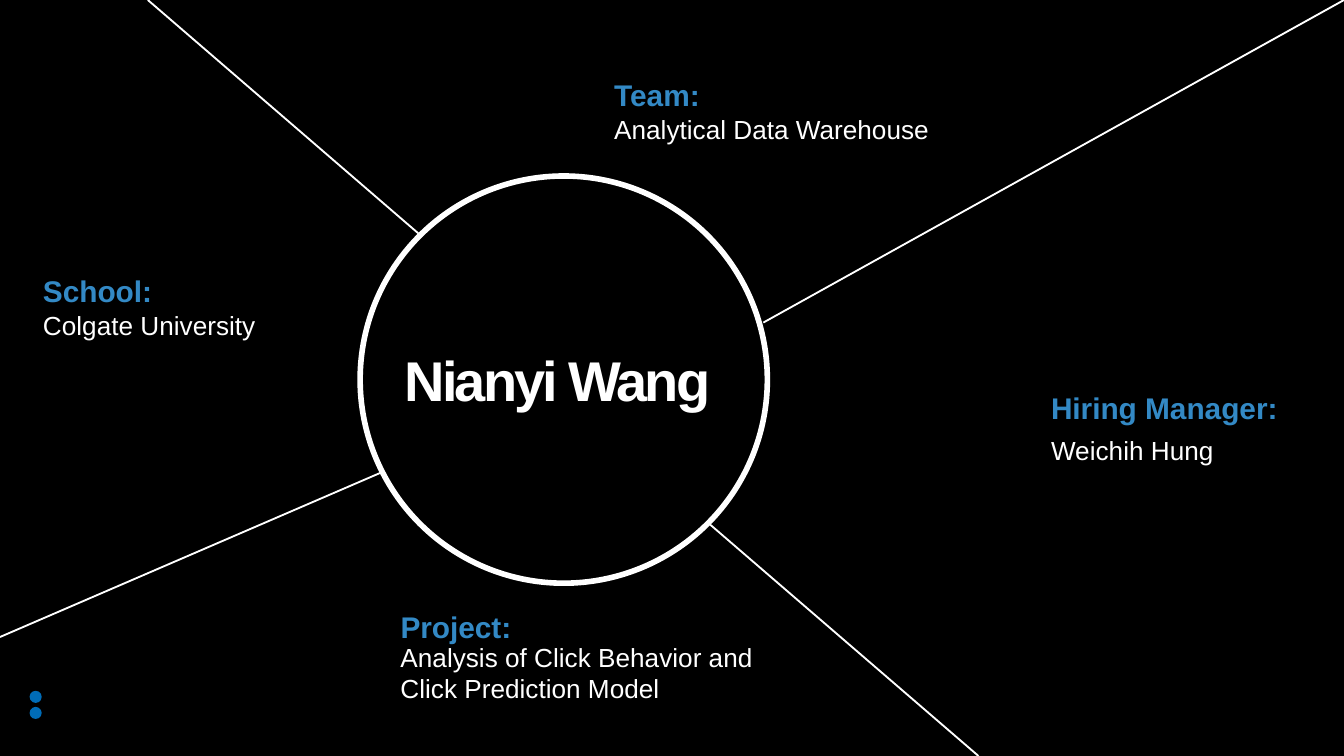
from dataclasses import dataclass

from lxml import etree
from pptx import Presentation
from pptx.dml.color import RGBColor
from pptx.enum.shapes import MSO_CONNECTOR, MSO_SHAPE
from pptx.enum.text import MSO_ANCHOR, PP_ALIGN
from pptx.oxml.ns import qn
from pptx.util import Inches, Pt

OVAL = MSO_SHAPE.OVAL
STRAIGHT = MSO_CONNECTOR.STRAIGHT
TOP, MIDDLE = MSO_ANCHOR.TOP, MSO_ANCHOR.MIDDLE
LEFT = PP_ALIGN.LEFT

PAGE_WIDTH = 10
PAGE_HEIGHT = PAGE_WIDTH * 9 / 16


@dataclass(frozen=True)
class Theme:
    font: str = "Arial"
    black: RGBColor = RGBColor(0, 0, 0)
    white: RGBColor = RGBColor(255, 255, 255)
    heading: RGBColor = RGBColor(0x33, 0x89, 0xC5)
    dot: RGBColor = RGBColor(0, 0x6C, 0xB7)
    name_size: int = 30
    heading_size: int = 16
    body_size: int = 14


def apply(target, values):
    for name, value in values.items():
        setattr(target, name, value)


class SlideBuilder:
    def __init__(self, page, theme):
        self.page = page
        self.theme = theme
        page.background.fill.solid()
        page.background.fill.fore_color.rgb = theme.black

    def circle(self, left, top, size, fill, line_width=0):
        shape = self.page.shapes.add_shape(
            OVAL, Inches(left), Inches(top), Inches(size), Inches(size))
        shape.shadow.inherit = False
        shape.fill.solid()
        shape.fill.fore_color.rgb = fill
        if line_width:
            shape.line.color.rgb = self.theme.white
            shape.line.width = Pt(line_width)
        else:
            shape.line.fill.background()

    def ray(self, start, end):
        line = self.page.shapes.add_connector(
            STRAIGHT, *(Inches(value) for value in (*start, *end)))
        line.line.color.rgb = self.theme.white
        line.line.width = Pt(1)
        etree.SubElement(line._element.spPr, qn("a:effectLst"))

    def text(self, words, place, size, color, bold=False,
             line_spacing=1.0, anchor=TOP, tracking=0):
        box = self.page.shapes.add_textbox(*(Inches(value) for value in place))
        frame = box.text_frame
        apply(frame, {
            "word_wrap": True, "vertical_anchor": anchor,
            "margin_left": 0, "margin_right": 0,
            "margin_top": 0, "margin_bottom": 0,
        })
        para = frame.paragraphs[0]
        apply(para, {"alignment": LEFT, "line_spacing": line_spacing})
        span = para.add_run()
        span.text = words
        apply(span.font, {"name": self.theme.font, "size": Pt(size), "bold": bold})
        span.font.color.rgb = color
        if tracking:
            span.font._element.set("spc", str(round(tracking * 100)))

    def fact(self, heading, heading_place, body, body_place):
        theme = self.theme
        self.text(heading, heading_place, theme.heading_size, theme.heading,
                  bold=True, line_spacing=0.9)
        self.text(body, body_place, theme.body_size, theme.white)


FACTS = [
    ("School:", (0.32, 2.06, 1.8, 0.62),
     "Colgate University", (0.32, 2.3, 1.84, 1.33)),
    ("Hiring Manager:", (7.82, 2.93, 1.89, 0.25),
     "Weichih Hung", (7.82, 3.23, 1.89, 0.82)),
    ("Team:", (4.57, 0.6, 2.71, 0.25),
     "Analytical Data Warehouse", (4.57, 0.84, 2.7, 0.75)),
    ("Project:", (2.98, 4.56, 2.71, 0.25),
     "Analysis of Click Behavior and Click Prediction Model",
     (2.98, 4.77, 2.7, 0.72)),
]

RAYS = [
    ((1.1, 0), (3.14, 1.76)),
    ((PAGE_WIDTH, 0), (5.68, 2.4)),
    ((7.28, PAGE_HEIGHT), (5.28, 3.9)),
    ((0, 4.74), (2.85, 3.51)),
]


def main():
    deck = Presentation()
    apply(deck, {"slide_width": Inches(PAGE_WIDTH),
                 "slide_height": Inches(PAGE_HEIGHT)})
    theme = Theme()
    builder = SlideBuilder(deck.slides.add_slide(deck.slide_layouts[6]), theme)

    for top in (5.26, 5.14):
        builder.circle(0.22, top, 0.09, theme.dot)
    builder.circle(2.68, 1.31, 3.03, theme.black, line_width=3)
    builder.text("Nianyi Wang", (3.01, 2.6, 2.39, 0.53), theme.name_size,
                 theme.white, bold=True, line_spacing=0.8, anchor=MIDDLE,
                 tracking=-1.5)
    for fact in FACTS:
        builder.fact(*fact)
    for start, end in RAYS:
        builder.ray(start, end)

    deck.save("out.pptx")


if __name__ == "__main__":
    main()
